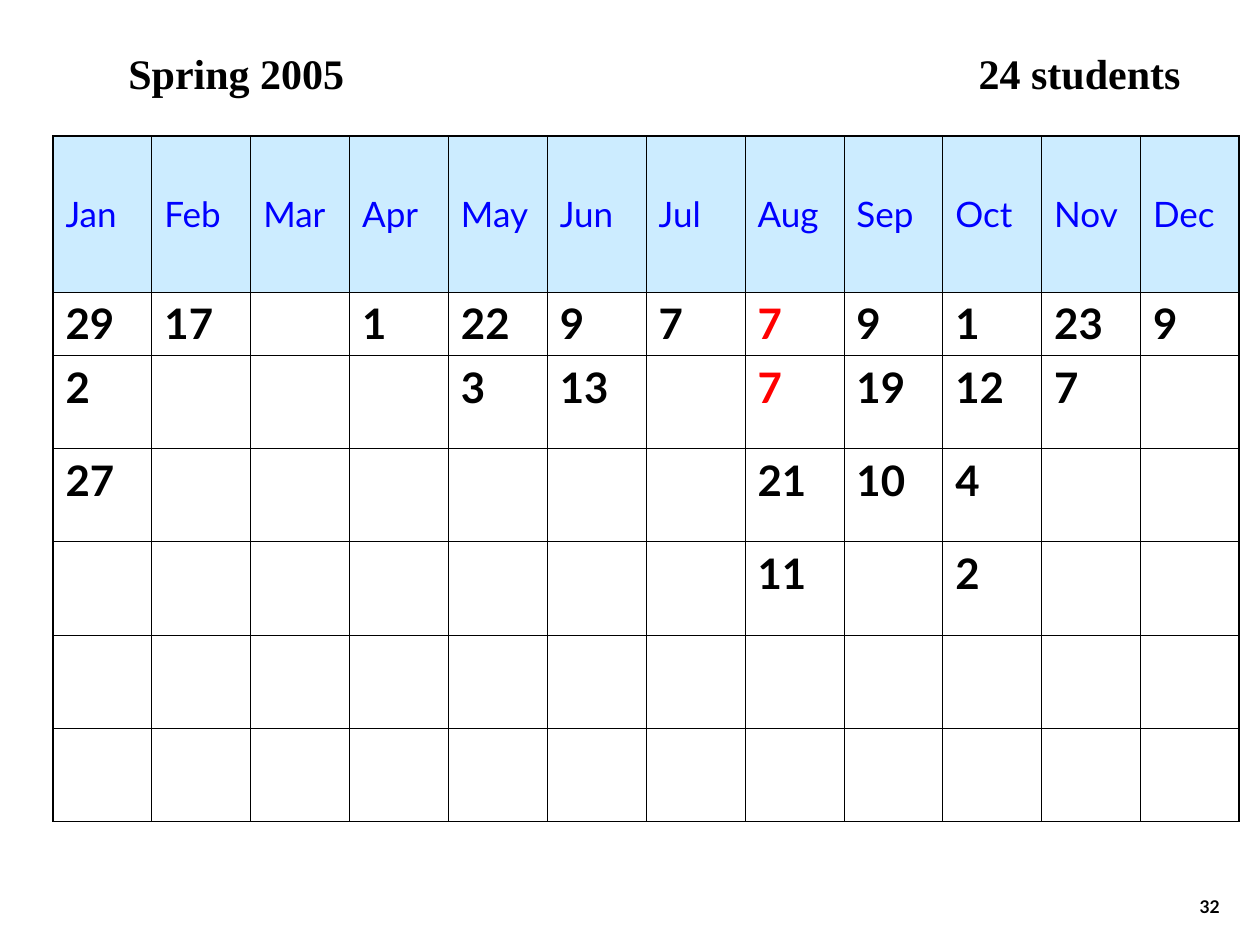
from lxml import etree
from pptx import Presentation
from pptx.dml import color as col
from pptx.enum import text as t
from pptx.oxml import ns
from pptx.util import Pt

HUES = {"ink": "000000", "month": "0000FF", "head": "CCECFF", "mark": "FF0000", "page": "FFFFFF"}
MONTHS = "Jan Feb Mar Apr May Jun Jul Aug Sep Oct Nov Dec".split()
DAYS = [
    ["29", "17", "", "1", "22", "9", "7", "7", "9", "1", "23", "9"],
    ["2", "", "", "", "3", "13", "", "7", "19", "12", "7", ""],
    ["27", "", "", "", "", "", "", "21", "10", "4", "", ""],
    ["", "", "", "", "", "", "", "11", "", "2", "", ""],
    [""] * 12,
    [""] * 12,
]
HIGHS = [89.28, 36] + [53.28] * 5
FONTS = {
    "title": {"name": "Times New Roman", "size": Pt(24), "bold": True},
    "month": {"name": "Lato", "size": Pt(20), "bold": False},
    "day": {"name": "Lato", "size": Pt(24), "bold": True},
    "page": {"name": "Lato", "size": Pt(10), "bold": True},
}
THIN, THICK = 0.45, 1.08


def rgb(hue):
    return col.RGBColor.from_string(HUES[hue])


def write(para, words, kind, hue="ink"):
    run = para.add_run()
    run.text = words
    for key, val in FONTS[kind].items():
        setattr(run.font, key, val)
    run.font.color.rgb = rgb(hue)


def add_box(slide, box, anchor):
    frame = slide.shapes.add_textbox(*map(Pt, box)).text_frame
    frame.word_wrap = True
    frame.vertical_anchor = anchor
    return frame.paragraphs[0]


def add_title(slide, box, left, right):
    para = add_box(slide, box, t.MSO_ANCHOR.TOP)
    tabs = etree.SubElement(para._p.get_or_add_pPr(), ns.qn("a:tabLst"))
    etree.SubElement(tabs, ns.qn("a:tab"), pos=str(Pt(box[2] - 16.5)), algn="r")
    write(para, f"{left}\t{right}", "title")


def add_page(slide, box, num):
    para = add_box(slide, box, t.MSO_ANCHOR.BOTTOM)
    para.alignment = t.PP_ALIGN.RIGHT
    write(para, num, "page")


def add_edge(cell, side, wide):
    line = etree.SubElement(cell._tc.get_or_add_tcPr(), ns.qn("a:ln" + side), w=str(Pt(wide)))
    fill = etree.SubElement(line, ns.qn("a:solidFill"))
    etree.SubElement(fill, ns.qn("a:srgbClr"), val=HUES["ink"])


def add_grid(slide, box):
    rows = [MONTHS] + DAYS
    last, end = len(rows) - 1, len(MONTHS) - 1
    table = slide.shapes.add_table(last + 1, end + 1, *map(Pt, box)).table
    table.first_row = table.horz_banding = False
    for part in table.columns:
        part.width = Pt(box[2] / len(MONTHS))
    for part, high in zip(table.rows, HIGHS):
        part.height = Pt(high)
    for r, row in enumerate(rows):
        for c, words in enumerate(row):
            cell = table.cell(r, c)
            outer = {"L": c == 0, "R": c == end, "T": r == 0, "B": r == last}
            for side, edge in outer.items():
                add_edge(cell, side, THICK if edge else THIN)
            head = r == 0
            cell.fill.solid()
            cell.fill.fore_color.rgb = rgb("head" if head else "page")
            cell.vertical_anchor = t.MSO_ANCHOR.MIDDLE if head else t.MSO_ANCHOR.TOP
            if words:
                hue = "month" if head else "mark" if words == "7" and MONTHS[c] == "Aug" else "ink"
                write(cell.text_frame.paragraphs[0], words, "month" if head else "day", hue)


def main():
    deck = Presentation()
    deck.slide_width, deck.slide_height = Pt(720), Pt(540)
    slide = deck.slides.add_slide(deck.slide_layouts[6])
    add_page(slide, (554.4, 491.76, 149.76, 36), "32")
    add_title(slide, (66.24, 23.76, 617.76, 36), "Spring 2005", "24 students")
    add_grid(slide, (30.24, 77.76, 678.24, sum(HIGHS)))
    deck.save("out.pptx")


if __name__ == "__main__":
    main()
